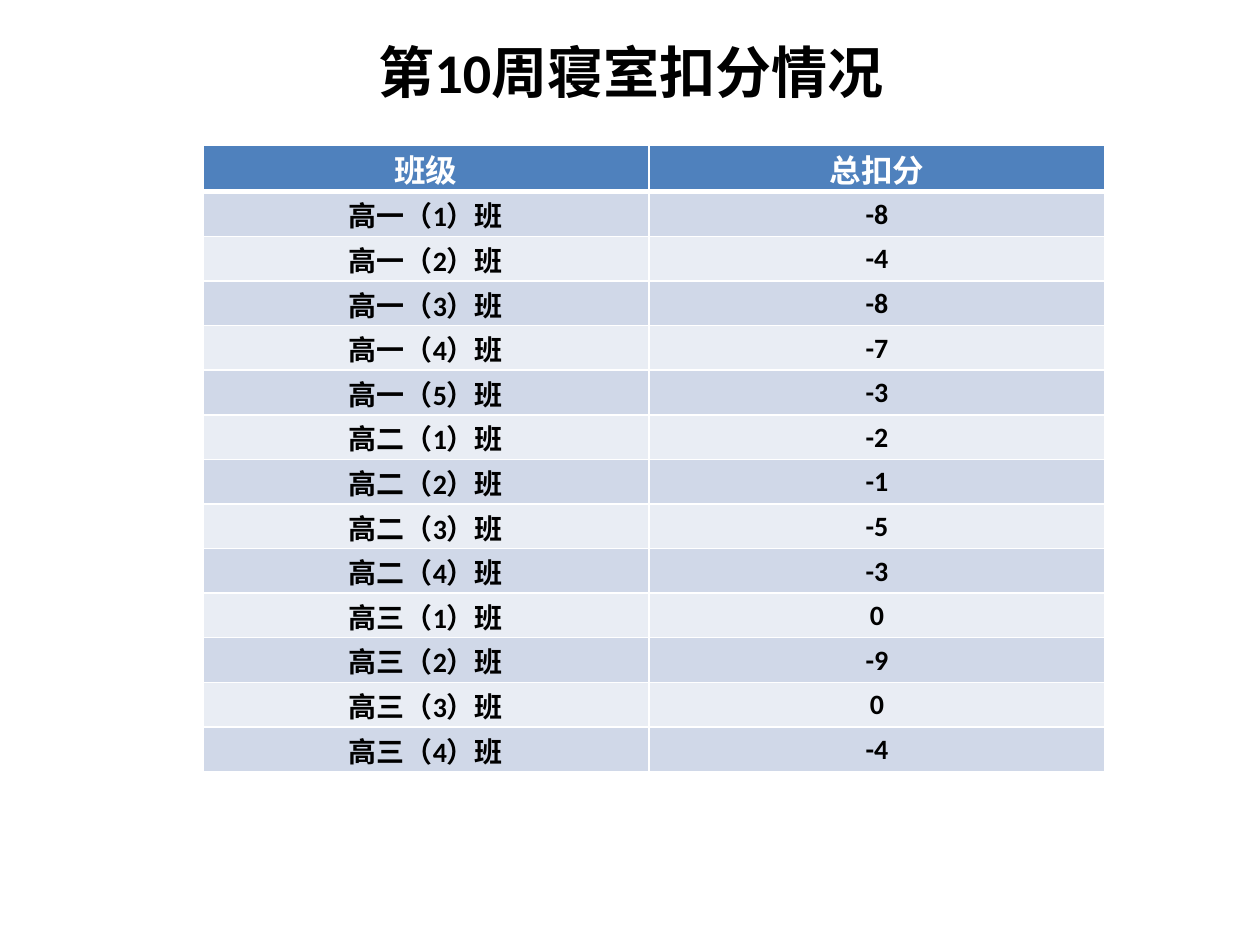
import dataclasses

import lxml.etree
import pptx
import pptx.dml.color
import pptx.enum.text
import pptx.oxml.ns
import pptx.util

FONT = "Calibri"
SLIDE_WIDTH, SLIDE_HEIGHT = 10, 7.5
ROW_HEIGHT = 4.96 / 14
COLUMN_WIDTHS = (3.54, 3.62)
BAND_FILLS = ("D0D8E8", "E9EDF4")
DEDUCTIONS = {
    "高一": (-8, -4, -8, -7, -3),
    "高二": (-2, -1, -5, -3),
    "高三": (0, -9, 0, -4),
}


@dataclasses.dataclass(frozen=True)
class RowStyle:
    fill: str
    color: str
    size: int
    top: int = 1
    bottom: int = 1


def rgb(value: str) -> pptx.dml.color.RGBColor:
    return pptx.dml.color.RGBColor.from_string(value)


def write_text(text_frame, text: str, size: int, color: str) -> None:
    text_frame.text = text
    paragraph = text_frame.paragraphs[0]
    paragraph.alignment = pptx.enum.text.PP_ALIGN.CENTER
    paragraph.space_before = pptx.util.Pt(0)
    for run in paragraph.runs:
        run.font.name = FONT
        run.font.size = pptx.util.Pt(size)
        run.font.bold = True
        run.font.color.rgb = rgb(color)


def add_borders(cell, style: RowStyle) -> None:
    properties = cell._tc.get_or_add_tcPr()
    widths = {"lnL": 1, "lnR": 1, "lnT": style.top, "lnB": style.bottom}
    for index, (side, width) in enumerate(widths.items()):
        line = lxml.etree.Element(
            pptx.oxml.ns.qn(f"a:{side}"), w=str(pptx.util.Pt(width))
        )
        fill = lxml.etree.SubElement(line, pptx.oxml.ns.qn("a:solidFill"))
        lxml.etree.SubElement(fill, pptx.oxml.ns.qn("a:srgbClr"), val="FFFFFF")
        properties.insert(index, line)


def fill_cell(cell, text: str, style: RowStyle) -> None:
    cell.margin_left = cell.margin_right = cell.margin_top = pptx.util.Inches(0.01)
    cell.margin_bottom = 0
    cell.vertical_anchor = pptx.enum.text.MSO_ANCHOR.MIDDLE
    cell.fill.solid()
    cell.fill.fore_color.rgb = rgb(style.fill)
    write_text(cell.text_frame, text, style.size, style.color)
    add_borders(cell, style)


def add_title(slide, text: str) -> None:
    title = slide.shapes.title
    title.left, title.top = pptx.util.Inches(0.51), pptx.util.Inches(0.21)
    title.width, title.height = pptx.util.Inches(9), pptx.util.Inches(0.71)
    write_text(title.text_frame, text, 32, "000000")
    title.text_frame.auto_size = pptx.enum.text.MSO_AUTO_SIZE.NONE
    title.text_frame.vertical_anchor = pptx.enum.text.MSO_ANCHOR.MIDDLE


def add_deduction_table(slide) -> None:
    rows = [("班级", "总扣分")] + [
        (f"{grade}（{number}）班", str(score))
        for grade, scores in DEDUCTIONS.items()
        for number, score in enumerate(scores, 1)
    ]
    table = slide.shapes.add_table(
        len(rows),
        len(COLUMN_WIDTHS),
        pptx.util.Inches(1.61),
        pptx.util.Inches(1.15),
        pptx.util.Inches(sum(COLUMN_WIDTHS)),
        pptx.util.Inches(ROW_HEIGHT * len(rows)),
    ).table
    for column, width in zip(table.columns, COLUMN_WIDTHS):
        column.width = pptx.util.Inches(width)
    for index, values in enumerate(rows):
        table.rows[index].height = pptx.util.Inches(ROW_HEIGHT)
        if index == 0:
            style = RowStyle("4F81BD", "FFFFFF", 18, bottom=3)
        else:
            fill = BAND_FILLS[(index - 1) % 2]
            style = RowStyle(fill, "000000", 16, top=3 if index == 1 else 1)
        for column, value in enumerate(values):
            fill_cell(table.cell(index, column), value, style)


def main() -> None:
    presentation = pptx.Presentation()
    presentation.slide_width = pptx.util.Inches(SLIDE_WIDTH)
    presentation.slide_height = pptx.util.Inches(SLIDE_HEIGHT)
    slide = presentation.slides.add_slide(presentation.slide_layouts[5])
    add_title(slide, "第10周寝室扣分情况")
    add_deduction_table(slide)
    presentation.save("out.pptx")


if __name__ == "__main__":
    main()
